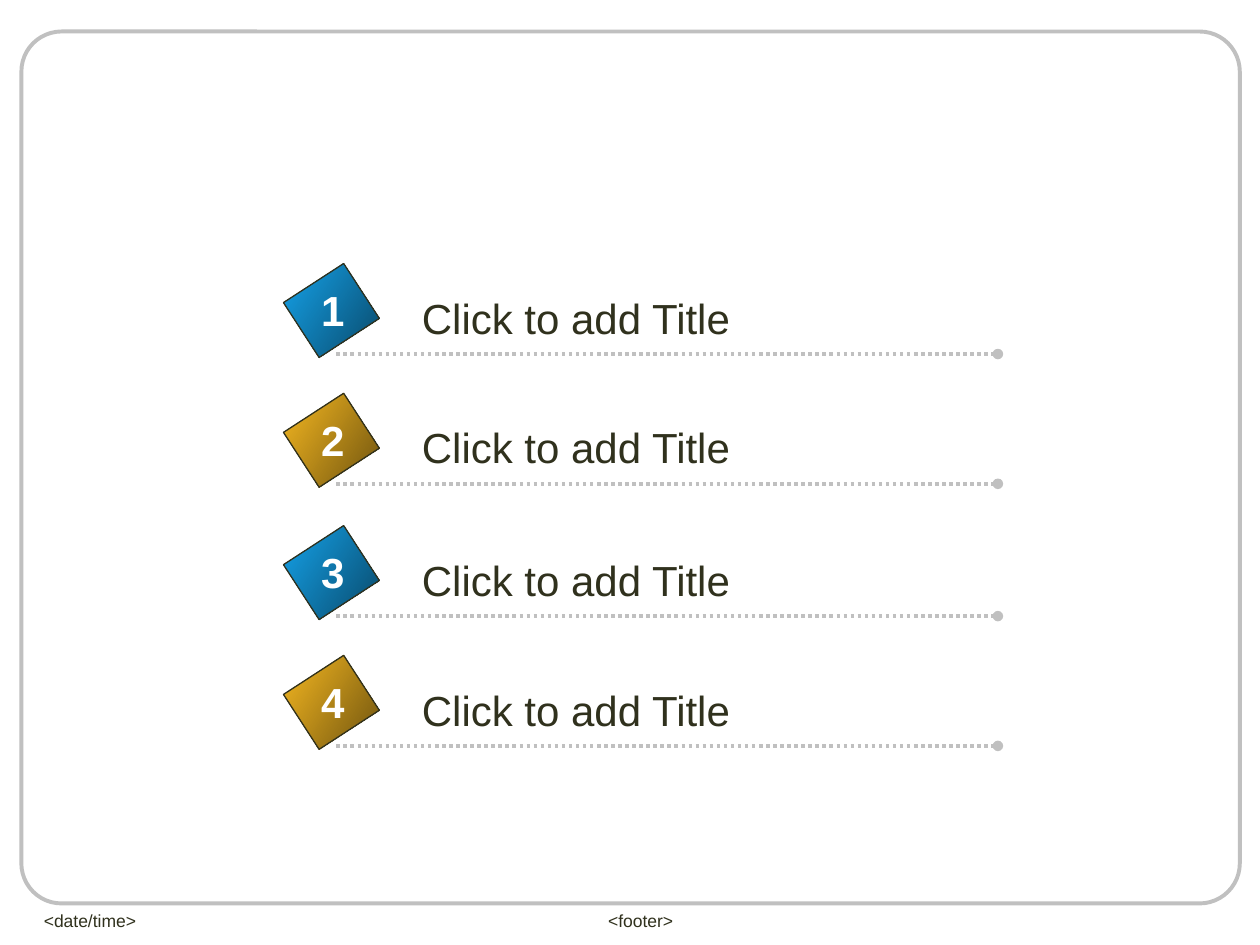
from lxml import etree
from pptx import Presentation
from pptx.dml.color import RGBColor
from pptx.enum.dml import MSO_LINE
from pptx.enum.shapes import MSO_CONNECTOR, MSO_SHAPE
from pptx.enum.text import MSO_AUTO_SIZE, PP_ALIGN
from pptx.oxml.ns import qn
from pptx.util import Inches, Pt

LEFT, CENTER = PP_ALIGN.LEFT, PP_ALIGN.CENTER
RECT, ROUNDED = MSO_SHAPE.RECTANGLE, MSO_SHAPE.ROUNDED_RECTANGLE
STRAIGHT, DOTS = MSO_CONNECTOR.STRAIGHT, MSO_LINE.ROUND_DOT
FIT, NO_FIT = MSO_AUTO_SIZE.SHAPE_TO_FIT_TEXT, MSO_AUTO_SIZE.NONE
HEX = {"ink": "30311D", "rule": "C0C0C0", "white": "FFFFFF",
       "blue": "15A2E9", "navy": "094A6B", "gold": "F5B821", "brown": "70540F"}
COLORS = {name: RGBColor.from_string(value) for name, value in HEX.items()}

prs = Presentation()
prs.slide_width, prs.slide_height = Inches(10), Inches(7.5)
COL, ROW = prs.slide_width / 10, prs.slide_height / 7.5
s = prs.slides.add_slide(prs.slide_layouts[6])


def grid(x, y, w, h):
    return int(x * COL), int(y * ROW), int(w * COL), int(h * ROW)


def add_text(shapes, box, text, size, color="ink", align=LEFT, bold=False, wrap=False):
    tf = shapes.add_textbox(*grid(*box)).text_frame
    tf.word_wrap = wrap
    tf.auto_size = NO_FIT if wrap else FIT
    p = tf.paragraphs[0]
    p.text, p.alignment = text, align
    font = p.runs[0].font
    font.name, font.size, font.bold = "Arial", Pt(size), bold
    font.color.rgb = COLORS[color]


frame = s.shapes.add_shape(ROUNDED, *grid(0.17, 0.25, 9.67, 6.92))
frame.adjustments[0] = 0.046
frame.shadow.inherit = False
frame.fill.background()
frame.line.color.rgb, frame.line.width = COLORS["rule"], Pt(2.25)

add_text(s.shapes, (0.25, 7.17, 2.33, 0.27), "<date/time>", 10, wrap=True)
add_text(s.shapes, (3.5, 7.17, 3.17, 0.27), "<footer>", 10, align=CENTER, wrap=True)

for i in range(4):
    pair, member = divmod(i, 2)
    y = 2.81 + 2.08 * pair + 1.03 * member
    item = s.shapes.add_group_shape().shapes

    x1, y1, length, _ = grid(2.67, y, 5.25, 0)
    rule = item.add_connector(STRAIGHT, x1, y1, x1 + length, y1)
    rule.line.color.rgb, rule.line.width = COLORS["rule"], Pt(2)
    rule.line.dash_style = DOTS
    ln = rule.line._get_or_add_ln()
    etree.SubElement(ln, qn("a:tailEnd"), type="oval")
    etree.SubElement(rule._element.spPr, qn("a:effectLst"))

    marker = item.add_shape(RECT, *grid(2.37, y - 0.63, 0.52, 0.57))
    marker.rotation = 57
    marker.shadow.inherit = False
    marker.line.color.rgb, marker.line.width = COLORS["ink"], Pt(0.75)
    marker.fill.gradient()
    marker.fill.gradient_angle = 360 - 33
    marker._element.spPr.find(qn("a:gradFill")).set("rotWithShape", "0")
    shades = ("gold", "brown") if member else ("blue", "navy")
    for stop, shade, position in zip(marker.fill.gradient_stops, shades, (0, 1)):
        stop.color.rgb, stop.position = COLORS[shade], position

    add_text(item, (3.25, y - 0.54, 2.66, 0.5), "Click to add Title", 24)
    add_text(item, (2.45, y - 0.6, 0.38, 0.5), str(i + 1), 24, "white", CENTER, True)

prs.save("out.pptx")
